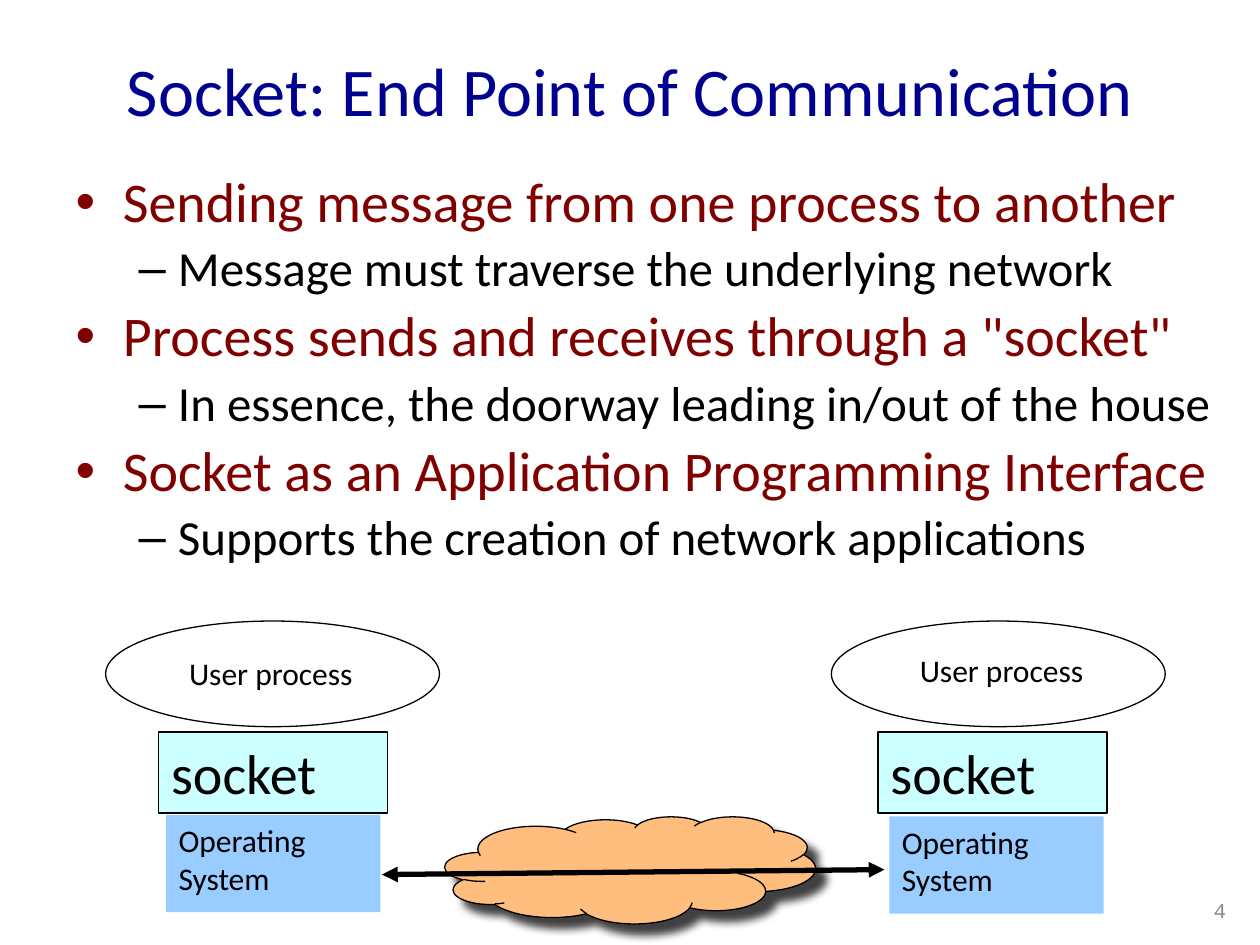
from dataclasses import dataclass

from lxml.etree import SubElement
from pptx import Presentation
from pptx.dml.color import RGBColor
from pptx.enum.shapes import MSO_CONNECTOR, MSO_SHAPE
from pptx.enum.text import MSO_ANCHOR, MSO_AUTO_SIZE, PP_ALIGN
from pptx.oxml.ns import qn
from pptx.util import Cm, Pt


@dataclass(frozen=True)
class Theme:
    font: str = "Calibri"
    number_font: str = "Courier New"
    title: str = "000090"
    topic: str = "800000"
    ink: str = "000000"
    muted: str = "898989"
    socket: str = "CCFFFF"
    system: str = "99CCFF"
    cloud: str = "FFBE7D"
    title_size: float = 39
    topic_size: float = 32
    detail_size: float = 28
    label_size: float = 18
    number_size: float = 12
    outline: float = 0.75
    arrow: float = 3


THEME = Theme()

OUTLINE = [
    ("Sending message from one process to another",
     "Message must traverse the underlying network"),
    ('Process sends and receives through a "socket"',
     "In essence, the doorway leading in/out of the house"),
    ("Socket as an Application Programming Interface",
     "Supports the creation of network applications"),
]


def write(frame, text, *, size, color=THEME.ink, font=THEME.font, align=PP_ALIGN.LEFT,
          anchor=MSO_ANCHOR.TOP, wrap=True, level=0, line_spacing=None):
    """Add each line of text as a paragraph, filling an empty first one."""
    frame.word_wrap = wrap
    frame.auto_size = MSO_AUTO_SIZE.NONE
    frame.vertical_anchor = anchor
    for line in text.split("\n"):
        first = not frame.text
        paragraph = frame.paragraphs[0] if first else frame.add_paragraph()
        if first:
            paragraph.space_before = Pt(0)
        paragraph.level = level
        paragraph.alignment = align
        paragraph.line_spacing = line_spacing
        run = paragraph.add_run()
        run.text = line
        run.font.name = font
        run.font.size = Pt(size)
        run.font.color.rgb = RGBColor.from_string(color)


def place(part, left, top, width, height):
    part.left, part.top, part.width, part.height = map(Cm, (left, top, width, height))


def add_block(slide, preset, left, top, width, height, fill=None, outlined=True):
    block = slide.shapes.add_shape(preset, *map(Cm, (left, top, width, height)))
    block.shadow.inherit = False
    if fill:
        block.fill.solid()
        block.fill.fore_color.rgb = RGBColor.from_string(fill)
    else:
        block.fill.background()
    if outlined:
        block.line.color.rgb = RGBColor.from_string(THEME.ink)
        block.line.width = Pt(THEME.outline)
    else:
        block.line.fill.background()
    return block


def add_label(slide, left, top, width, height, text, **text_format):
    label = slide.shapes.add_textbox(*map(Cm, (left, top, width, height)))
    write(label.text_frame, text, **text_format)


def draw_title(slide, *box):
    title = slide.shapes.title
    place(title, *box)
    write(title.text_frame, "Socket: End Point of Communication", size=THEME.title_size,
          color=THEME.title, align=PP_ALIGN.CENTER, anchor=MSO_ANCHOR.MIDDLE)


def draw_outline(slide, *box):
    body = slide.placeholders[1]
    place(body, *box)
    for topic, detail in OUTLINE:
        write(body.text_frame, topic, size=THEME.topic_size, color=THEME.topic,
              line_spacing=0.9)
        write(body.text_frame, detail, size=THEME.detail_size, level=1, line_spacing=0.9)


def draw_host(slide, left, top, socket_x, label_x, label_y, system_x, system_y):
    """Stack a user process, its socket and the operating system."""
    add_block(slide, MSO_SHAPE.OVAL, left, top, 6.73, 2.13)
    socket = add_block(slide, MSO_SHAPE.RECTANGLE, left + socket_x, top + 2.24,
                       4.62, 1.63, THEME.socket)
    write(socket.text_frame, "socket", size=THEME.topic_size)
    add_label(slide, left + label_x, top + label_y, 3.86, 1.02, "User process",
              size=THEME.label_size, align=PP_ALIGN.CENTER, wrap=False)
    system = add_block(slide, MSO_SHAPE.RECTANGLE, left + system_x, top + system_y,
                       4.32, 1.96, THEME.system, outlined=False)
    write(system.text_frame, "Operating\nSystem", size=THEME.label_size)


def draw_network(slide, left, top, width, height):
    """Draw the cloud and the two-way arrow that crosses it."""
    cloud = add_block(slide, MSO_SHAPE.CLOUD, left, top, width, height, THEME.cloud)
    effects = cloud._element.spPr.find(qn("a:effectLst"))
    shadow = SubElement(effects, qn("a:outerShdw"), blurRad=str(Pt(5)), dist=str(Pt(8.5)),
                        dir=str(45 * 60000), algn="tl", rotWithShape="0")
    shade = SubElement(shadow, qn("a:srgbClr"), val=THEME.ink)
    SubElement(shade, qn("a:alpha"), val="75000")

    arrow = slide.shapes.add_connector(
        MSO_CONNECTOR.STRAIGHT, Cm(left - 1.27), Cm(top + 1.17),
        Cm(left + width + 1.39), Cm(top + 1.07))
    arrow.line.color.rgb = RGBColor.from_string(THEME.ink)
    arrow.line.width = Pt(THEME.arrow)
    for end in ("a:headEnd", "a:tailEnd"):
        SubElement(arrow.line._get_or_add_ln(), qn(end), type="triangle")
    SubElement(arrow._element.spPr, qn("a:effectLst"))


def main():
    deck = Presentation()
    deck.slide_width, deck.slide_height = Cm(25.4), Cm(19.05)
    slide = deck.slides.add_slide(deck.slide_layouts[1])
    draw_title(slide, 0, 0.2, 25.4, 3.18)
    draw_outline(slide, 1.27, 3.38, 23.5, 8.58)
    add_label(slide, 19.05, 17.83, 5.92, 1.02, "4", size=THEME.number_size,
              color=THEME.muted, font=THEME.number_font, align=PP_ALIGN.RIGHT,
              anchor=MSO_ANCHOR.MIDDLE)
    draw_host(slide, 2.13, 12.52, socket_x=1.07, label_x=1.4, label_y=0.54,
              system_x=1.22, system_y=3.91)
    draw_host(slide, 16.76, 12.52, socket_x=0.94, label_x=1.5, label_y=0.48,
              system_x=1.17, system_y=3.94)
    draw_network(slide, 8.97, 16.46, 7.47, 2.16)
    deck.save("out.pptx")


if __name__ == "__main__":
    main()
